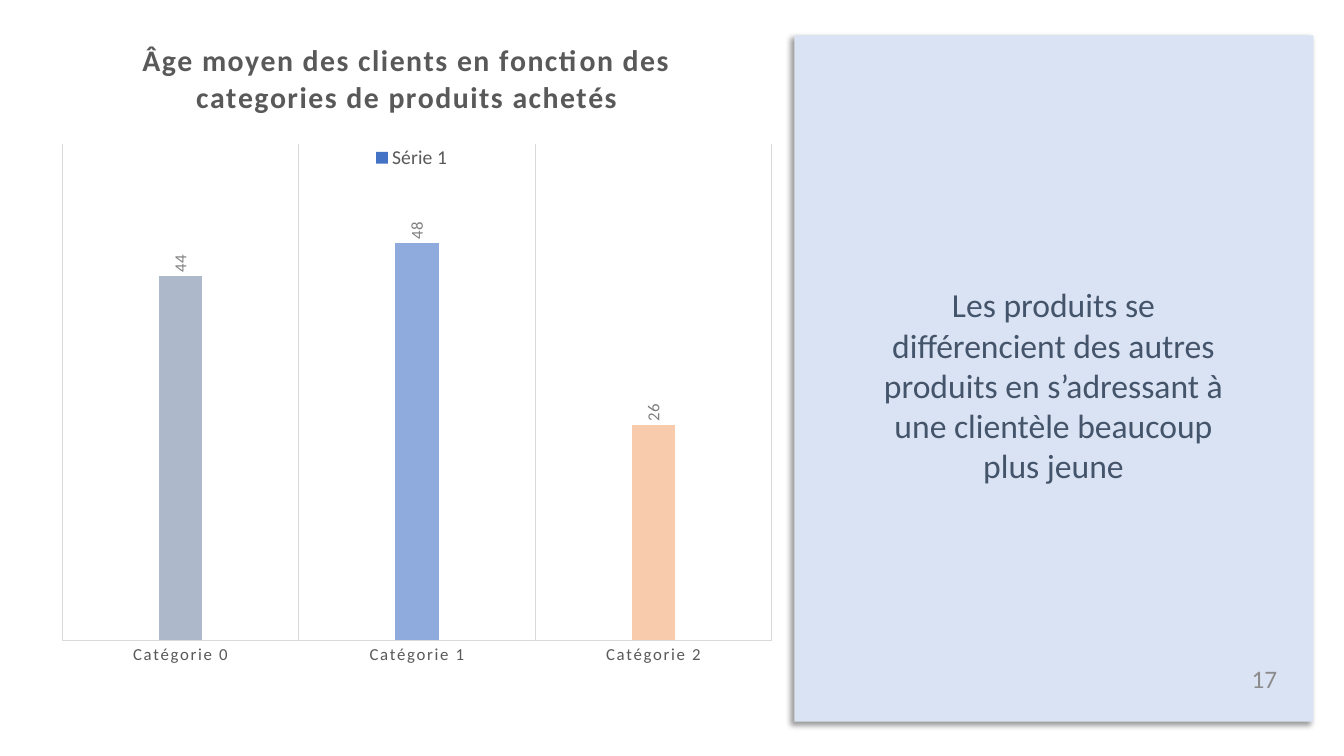
"""Build the slide comparing average client age across product categories."""
from dataclasses import dataclass

import pptx
import pptx.chart.data
import pptx.dml.color
import pptx.enum.chart
import pptx.enum.shapes
import pptx.enum.text
import pptx.oxml
import pptx.oxml.ns
import pptx.util

Pt = pptx.util.Pt
ALIGN = pptx.enum.text.PP_ALIGN
ANCHOR = pptx.enum.text.MSO_ANCHOR
AUTO_SIZE = pptx.enum.text.MSO_AUTO_SIZE
FONT = "Calibri"
COLORS = {
    "panel": "DAE3F3", "number": "8C8C8C", "message": "44546A",
    "chart_text": "595959", "label": "808080", "grid": "D9D9D9", "series": "4472C4",
}


@dataclass
class Bar:
    """One category of the chart."""
    name: str
    age: int
    color: str


@dataclass
class Note:
    """One text box, with its box in points."""
    text: str
    box: tuple[float, float, float, float]
    size: int
    color: str
    align: ALIGN
    anchor: ANCHOR
    auto_size: AUTO_SIZE


BARS = [
    Bar("Catégorie 0", 44, "ADB9CA"),
    Bar("Catégorie 1", 48, "8FAADC"),
    Bar("Catégorie 2", 26, "F8CBAD"),
]
PANEL_BOX = (567.4, 25.2, 370.8, 490.3)
CHART_BOX = (21.6, 24.5, 545, 490.3)
NUMBER = Note("17", (703.4, 470.2, 216, 28.8), 18, COLORS["number"],
              ALIGN.RIGHT, ANCHOR.MIDDLE, AUTO_SIZE.NONE)
MESSAGE = Note(
    "Les produits se différencient des autres produits en s’adressant à "
    "une clientèle beaucoup plus jeune",
    (623.5, 199.4, 258, 152.6), 24, COLORS["message"],
    ALIGN.CENTER, ANCHOR.TOP, AUTO_SIZE.SHAPE_TO_FIT_TEXT)


def rgb(color: str) -> pptx.dml.color.RGBColor:
    """Return a colour from its hex string."""
    return pptx.dml.color.RGBColor.from_string(color)


def points(box: tuple) -> list:
    """Return the lengths of a box."""
    return [Pt(v) for v in box]


def xml(tag: str, inner: str):
    """Return an element parsed with the chart and drawing namespaces."""
    ns = pptx.oxml.ns.nsdecls("a", "c")
    return pptx.oxml.parse_xml(f"<{tag} {ns}>{inner}</{tag}>")


def set_font(font, size: float, color: str, bold: bool = False) -> None:
    """Set the format of a font."""
    font.name, font.size, font.bold = FONT, Pt(size), bold
    font.color.rgb = rgb(color)


def write_text(tf, text: str, *, size: float, color: str, bold: bool = False,
               align: ALIGN = ALIGN.CENTER) -> None:
    """Write one formatted paragraph."""
    p = tf.paragraphs[0]
    p.alignment = align
    r = p.add_run()
    r.text = text
    set_font(r.font, size, color, bold)


def add_note(s, note: Note) -> None:
    """Add a text box."""
    tf = s.shapes.add_textbox(*points(note.box)).text_frame
    tf.word_wrap = True
    tf.auto_size, tf.vertical_anchor = note.auto_size, note.anchor
    write_text(tf, note.text, size=note.size, color=note.color, align=note.align)


def add_panel(s) -> None:
    """Add the shaded panel and its shadow."""
    sp = s.shapes.add_shape(pptx.enum.shapes.MSO_SHAPE.RECTANGLE, *points(PANEL_BOX))
    sp.shadow.inherit = False
    sp.fill.solid()
    sp.fill.fore_color.rgb = rgb(COLORS["panel"])
    sp.line.fill.background()
    shadow = xml("a:outerShdw",
                 '<a:srgbClr val="000000"><a:alpha val="40000"/></a:srgbClr>')
    for key, value in {"blurRad": Pt(4), "dist": Pt(3), "dir": 135 * 60000,
                       "algn": "tr", "rotWithShape": 0}.items():
        shadow.set(key, str(value))
    sp.element.xpath("./p:spPr/a:effectLst")[0].append(shadow)


def place(element, inner: bool = False, **fractions: float) -> None:
    """Give a chart part a manual position in fractions of the chart."""
    for old in element.xpath("./c:layout"):
        element.remove(old)
    parts = ['<c:layoutTarget val="inner"/>'] if inner else []
    parts += [f'<c:{k}Mode val="edge"/>' for k in "xy"]
    parts += [f'<c:{k} val="{v}"/>' for k, v in fractions.items()]
    layout = xml("c:layout", f'<c:manualLayout>{"".join(parts)}</c:manualLayout>')
    overlay = element.xpath("./c:overlay")
    if overlay:
        overlay[0].addprevious(layout)
    else:
        element.insert(0, layout)


def add_age_chart(s) -> None:
    """Add the column chart of ages."""
    enum = pptx.enum.chart
    data = pptx.chart.data.CategoryChartData(number_format="0")
    data.categories = [bar.name for bar in BARS]
    data.add_series("Série 1", [bar.age for bar in BARS])
    chart = s.shapes.add_chart(enum.XL_CHART_TYPE.COLUMN_CLUSTERED,
                               *points(CHART_BOX), data).chart
    set_font(chart.font, 10, "000000")
    root = chart._chartSpace

    chart.has_title = True
    write_text(chart.chart_title.text_frame,
               "Âge moyen des clients en fonction des categories de produits achetés",
               size=21.3, color=COLORS["chart_text"], bold=True)
    chart.chart_title.include_in_layout = False

    chart.has_legend = True
    chart.legend.position = enum.XL_LEGEND_POSITION.TOP
    chart.legend.include_in_layout = False
    set_font(chart.legend.font, 14, COLORS["chart_text"])

    axis = chart.category_axis
    axis.major_tick_mark = enum.XL_TICK_MARK.NONE
    axis.has_major_gridlines = True
    set_font(axis.tick_labels.font, 12, COLORS["chart_text"])
    for line in (axis.format.line, axis.major_gridlines.format.line):
        line.color.rgb = rgb(COLORS["grid"])
        line.width = Pt(0.75)
    values = chart.value_axis
    values.minimum_scale, values.maximum_scale = 0, 60
    values.has_major_gridlines = values.visible = False

    plot = chart.plots[0]
    plot.vary_by_categories = False
    plot.gap_width, plot.overlap = 444, -90
    series = plot.series[0]
    series.format.fill.solid()
    series.format.fill.fore_color.rgb = rgb(COLORS["series"])
    for i, bar in enumerate(BARS):
        fill = series.points[i].format.fill
        fill.solid()
        fill.fore_color.rgb = rgb(bar.color)
    labels = series.data_labels
    labels.show_value = True
    labels.position = enum.XL_LABEL_POSITION.OUTSIDE_END
    labels.number_format, labels.number_format_is_linked = "0", False
    set_font(labels.font, 12, COLORS["label"])

    for body in root.xpath(".//c:ser/c:dLbls/c:txPr/a:bodyPr"):
        body.set("rot", "-5400000")
        body.set("vert", "horz")
    for props in root.xpath(".//c:title//a:rPr | .//c:catAx/c:txPr//a:defRPr"):
        props.set("spc", "120")
    place(root.xpath(".//c:plotArea")[0], inner=True, x=0.042, y=0.16, w=0.93, h=0.723)
    place(root.xpath("./c:chart/c:title")[0], x=0.14, y=0)
    place(root.xpath(".//c:legend")[0], x=0.44, y=0.16, w=0.12, h=0.04)


def main() -> None:
    """Build and save the slide."""
    prs = pptx.Presentation()
    prs.slide_width, prs.slide_height = Pt(960), Pt(540)
    s = prs.slides.add_slide(prs.slide_layouts[6])
    add_panel(s)
    add_note(s, NUMBER)
    add_age_chart(s)
    add_note(s, MESSAGE)
    prs.save("out.pptx")


if __name__ == "__main__":
    main()
